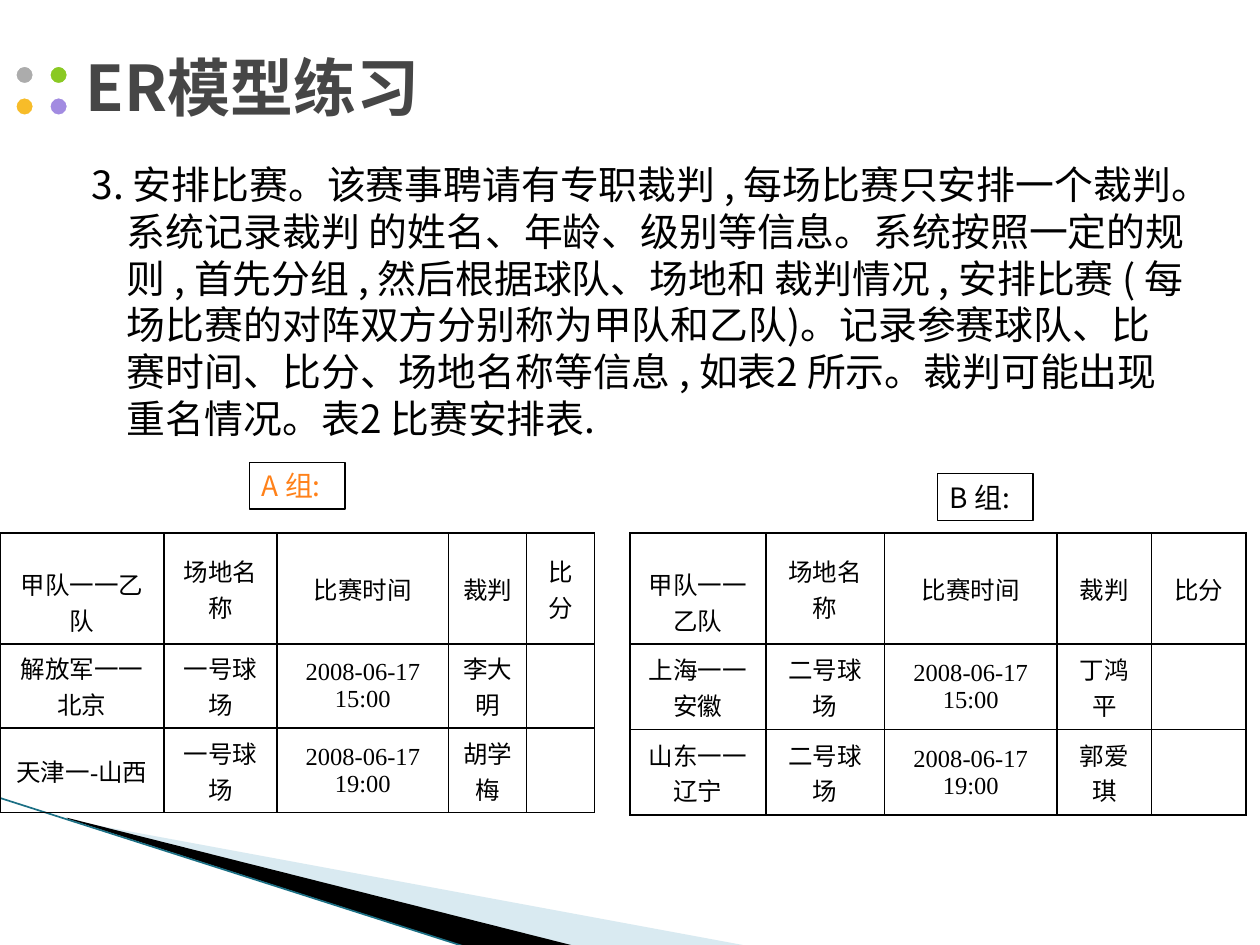
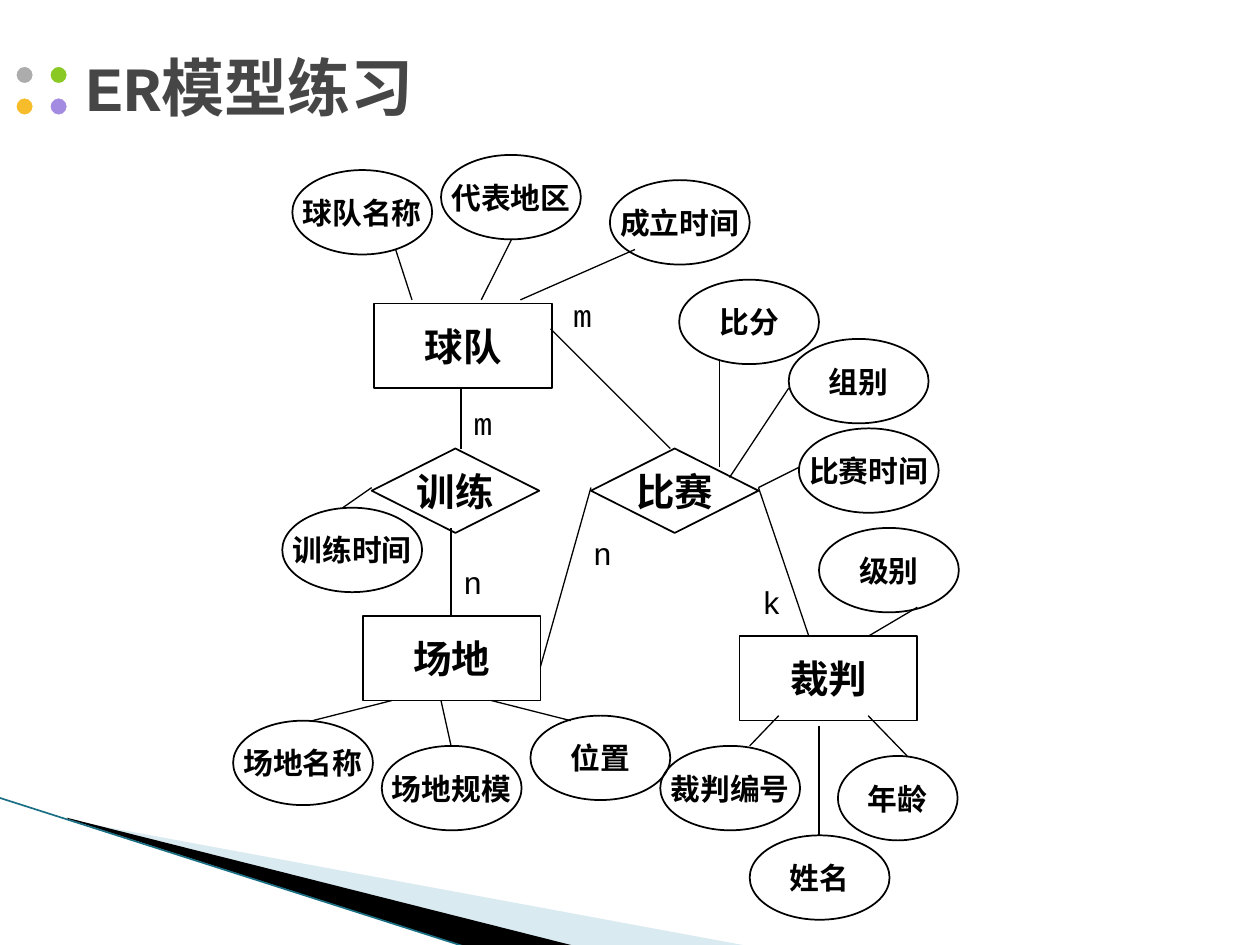
from lxml import etree
from pptx import Presentation
from pptx.dml.color import RGBColor
from pptx.enum import shapes, text
from pptx.oxml import ns
from pptx.util import Inches, Pt

BLACK = RGBColor(0, 0, 0)
WHITE = RGBColor(255, 255, 255)
SLATE = RGBColor(0x46, 0x46, 0x46)
ORANGE = RGBColor(0xFF, 0x81, 0x19)
PALE = RGBColor(0xA0, 0xCB, 0xDC)
TEAL = RGBColor(0x1B, 0x6F, 0x84)
DOTS = [RGBColor.from_string(c) for c in ("ACACAC", "8AC923", "F7BC29", "A28BE1")]
SANS, MONO, SERIF = "Noto Sans CJK SC", "Courier New", "Times New Roman"
SHAPE = shapes.MSO_SHAPE
MIDDLE = text.MSO_ANCHOR.MIDDLE
CENTER = text.PP_ALIGN.CENTER

TITLE = "ER模型练习"
BODY = (
    "3. 安排比赛。该赛事聘请有专职裁判 , 每场比赛只安排一个裁判。"
    "系统记录裁判 的姓名、年龄、级别等信息。系统按照一定的规则 , 首先分组 , "
    "然后根据球队、场地和 裁判情况 , 安排比赛 ( 每场比赛的对阵双方分别称为甲队和乙队)。"
    "记录参赛球队、比赛时间、比分、场地名称等信息 , 如表2 所示。"
    "裁判可能出现重名情况。表2 比赛安排表."
)
HEAD = ("甲队一一乙队", "场地名称", "比赛时间", "裁判", "比分")
GROUP_A = [
    HEAD,
    ("解放军一一北京", "一号球场", "2008-06-17 15:00", "李大明", ""),
    ("天津一-山西", "一号球场", "2008-06-17 19:00", "胡学梅", ""),
]
GROUP_B = [
    HEAD,
    ("上海一一安徽", "二号球场", "2008-06-17 15:00", "丁鸿平", ""),
    ("山东一一辽宁", "二号球场", "2008-06-17 19:00", "郭爱琪", ""),
]

KINDS = {
    "entity": (SHAPE.RECTANGLE, 1.41, 22),
    "link": (SHAPE.FLOWCHART_DECISION, 1.33, 22),
    "trait": (SHAPE.OVAL, 1.11, 17),
    "small": (SHAPE.OVAL, 0.95, 17),
}
NODES = [
    ("entity", "球队", 1.17, 1.21),
    ("entity", "场地", 1.08, 3.69),
    ("entity", "裁判", 4.07, 3.85),
    ("link", "训练", 1.15, 2.36),
    ("link", "比赛", 2.89, 2.36),
    ("trait", "球队名称", 0.52, 0.15),
    ("trait", "代表地区", 1.7, 0.03),
    ("trait", "成立时间", 3.04, 0.23),
    ("trait", "比分", 3.59, 1.02),
    ("trait", "组别", 4.46, 1.49),
    ("trait", "比赛时间", 4.54, 2.2),
    ("trait", "级别", 4.7, 2.99),
    ("trait", "训练时间", 0.44, 2.83),
    ("trait", "场地名称", 0.05, 4.52),
    ("trait", "场地规模", 1.23, 4.72),
    ("trait", "位置", 2.41, 4.48),
    ("trait", "裁判编号", 3.44, 4.72),
    ("trait", "姓名", 4.15, 5.43),
    ("small", "年龄", 4.85, 4.8),
]
EDGES = [
    (1.34, 0.78, 1.47, 1.18),
    (2.26, 0.7, 2.02, 1.18),
    (2.33, 1.18, 3.24, 0.78),
    (1.86, 1.88, 1.86, 2.36),
    (1.78, 2.99, 1.78, 3.69),
    (2.57, 1.41, 3.52, 2.36),
    (2.89, 2.67, 2.49, 4.09),
    (4.22, 2.67, 4.62, 3.85),
    (1.15, 2.67, 0.92, 2.83),
    (1.31, 4.36, 0.68, 4.52),
    (1.7, 4.36, 1.78, 4.72),
    (2.1, 4.36, 2.73, 4.52),
    (5.48, 3.62, 5.09, 3.85),
    (4.38, 4.48, 4.15, 4.72),
    (4.7, 4.56, 4.7, 5.43),
    (5.09, 4.48, 5.4, 4.8),
    (3.91, 1.65, 3.91, 2.51),
    (4.46, 1.88, 3.99, 2.59),
    (4.54, 2.51, 4.22, 2.67),
]
COUNTS = [
    ("m", 1.86, 1.96),
    ("n", 1.78, 3.22),
    ("m", 2.65, 1.1),
    ("n", 2.81, 2.99),
    ("k", 4.15, 3.38),
]


def box(x, y, w, h):
    return [Inches(v) for v in (x, y, w, h)]


def write(frame, words, size, name=SANS, color=BLACK, bold=False, align=None):
    para = frame.paragraphs[0]
    para.text = words
    para.alignment = align
    font = para.font
    font.name, font.size, font.bold = name, Pt(size), bold
    font.color.rgb = color
    east = etree.SubElement(font._rPr, ns.qn("a:ea"))
    east.set("typeface", SANS)
    return para


def note(slide, area, words, size, **style):
    frame = slide.shapes.add_textbox(*box(*area)).text_frame
    frame.word_wrap = True
    return frame, write(frame, words, size, **style)


def draw(slide, kind, area, fill=None, line=BLACK, width=1):
    form = slide.shapes.add_shape(kind, *box(*area))
    form.shadow.inherit = False
    if fill is None:
        form.fill.background()
    else:
        form.fill.solid()
        form.fill.fore_color.rgb = fill
    form.line.color.rgb = line
    form.line.width = Pt(width)
    return form


def join(slide, x1, y1, x2, y2, color=BLACK, width=0.75):
    line = slide.shapes.add_connector(
        shapes.MSO_CONNECTOR.STRAIGHT, *box(x1, y1, x2, y2))
    line.line.color.rgb = color
    line.line.width = Pt(width)
    etree.SubElement(line._element.spPr, ns.qn("a:effectLst"))


def wedge(slide, points, color, alpha=100):
    spots = [(Inches(x), Inches(y)) for x, y in points]
    pen = slide.shapes.build_freeform(*spots[0])
    pen.add_line_segments(spots[1:])
    form = pen.convert_to_shape()
    form.shadow.inherit = False
    form.fill.solid()
    form.fill.fore_color.rgb = color
    form.line.fill.background()
    tint = form._element.spPr.find(".//" + ns.qn("a:srgbClr"))
    etree.SubElement(tint, ns.qn("a:alpha")).set("val", str(alpha * 1000))


def swoosh(slide, x, y):
    pale = [(0.55, 0.18), (5.95, 1.18), (4.56, 1.18), (0.55, 0.17)]
    dark = [(0.53, 0.16), (4.57, 1.18), (3.72, 1.19), (0.54, 0.17)]
    for points, color, alpha in ((pale, PALE, 40), (dark, BLACK, 100)):
        wedge(slide, [(x + a, y + b) for a, b in points], color, alpha)
    join(slide, x - 0.01, y, x + 3.71, y + 1.19, TEAL, 0.95)


def bullets(slide, x, y):
    for i, color in enumerate(DOTS):
        row, col = divmod(i, 2)
        area = (x + col * 0.27, y + row * 0.25, 0.15, 0.15)
        draw(slide, SHAPE.OVAL, area, color, WHITE, 1.5)


def base(deck, face):
    slide = deck.slides.add_slide(deck.slide_layouts[6])
    swoosh(slide, 0, 6.33)
    bullets(slide, 0.12, 0.52)
    frame, _ = note(slide, (0.58, 0.3, 8.44, 0.77), TITLE, 36,
                    name=face, color=SLATE, bold=True)
    frame.vertical_anchor = MIDDLE
    return slide


def edge(cell):
    props = cell._tc.get_or_add_tcPr()
    for side in ("lnL", "lnR", "lnT", "lnB"):
        line = etree.SubElement(props, ns.qn("a:" + side), w=str(Pt(1)))
        fill = etree.SubElement(line, ns.qn("a:solidFill"))
        etree.SubElement(fill, ns.qn("a:srgbClr"), val=str(BLACK))


def grid(slide, x, y, cols, rows, data):
    area = box(x, y, sum(cols), sum(rows))
    table = slide.shapes.add_table(len(rows), len(cols), *area).table
    table.first_row = table.horz_banding = False
    for col, width in zip(table.columns, cols):
        col.width = Inches(width)
    for row, height, words in zip(table.rows, rows, data):
        row.height = Inches(height)
        for cell, word in zip(row.cells, words):
            edge(cell)
            cell.fill.background()
            cell.vertical_anchor = MIDDLE
            write(cell.text_frame, word, 14, SERIF, align=CENTER)
    table.cell(0, 0).margin_top = Inches(0.26)


def tag(slide, x, y, words, color):
    form = draw(slide, SHAPE.RECTANGLE, (x, y, 0.76, 0.37), width=0.75)
    frame = form.text_frame
    frame.word_wrap = False
    frame.vertical_anchor = MIDDLE
    write(frame, words, 16, color=color, align=text.PP_ALIGN.LEFT)


def story(slide, area):
    _, para = note(slide, area, BODY, 22.2)
    props = para._p.get_or_add_pPr()
    props.set("marL", str(Inches(0.4)))
    props.set("indent", str(Inches(-0.28)))


def node(slide, kind, words, x, y):
    form, width, size = KINDS[kind]
    frame = draw(slide, form, (x, y, width, 0.67)).text_frame
    frame.word_wrap = False
    frame.vertical_anchor = MIDDLE
    frame.margin_left = frame.margin_right = Inches(0.11)
    write(frame, words, size, bold=True, align=CENTER)


def model(slide, x, y):
    for x1, y1, x2, y2 in EDGES:
        join(slide, x + x1, y + y1, x + x2, y + y2)
    for kind, words, left, top in NODES:
        node(slide, kind, words, x + left, y + top)
    for words, left, top in COUNTS:
        note(slide, (x + left, y + top, 0.39, 0.4), words, 18, name=MONO)


def main():
    deck = Presentation()
    deck.slide_width, deck.slide_height = Inches(10), Inches(7.5)

    plan = base(deck, SANS)
    story(plan, (0.51, 1.23, 9, 2.44))
    grid(plan, 0, 4.23, (1.3, 0.9, 1.36, 0.62, 0.54), (0.88, 0.67, 0.67), GROUP_A)
    grid(plan, 5, 4.23, (1.08, 0.94, 1.37, 0.75, 0.75), (0.88, 0.68, 0.68), GROUP_B)
    tag(plan, 7.44, 3.76, "B 组:", BLACK)
    tag(plan, 1.98, 3.67, "A 组:", ORANGE)

    model(base(deck, MONO), 1.8, 1.2)
    deck.save("out.pptx")


if __name__ == "__main__":
    main()
